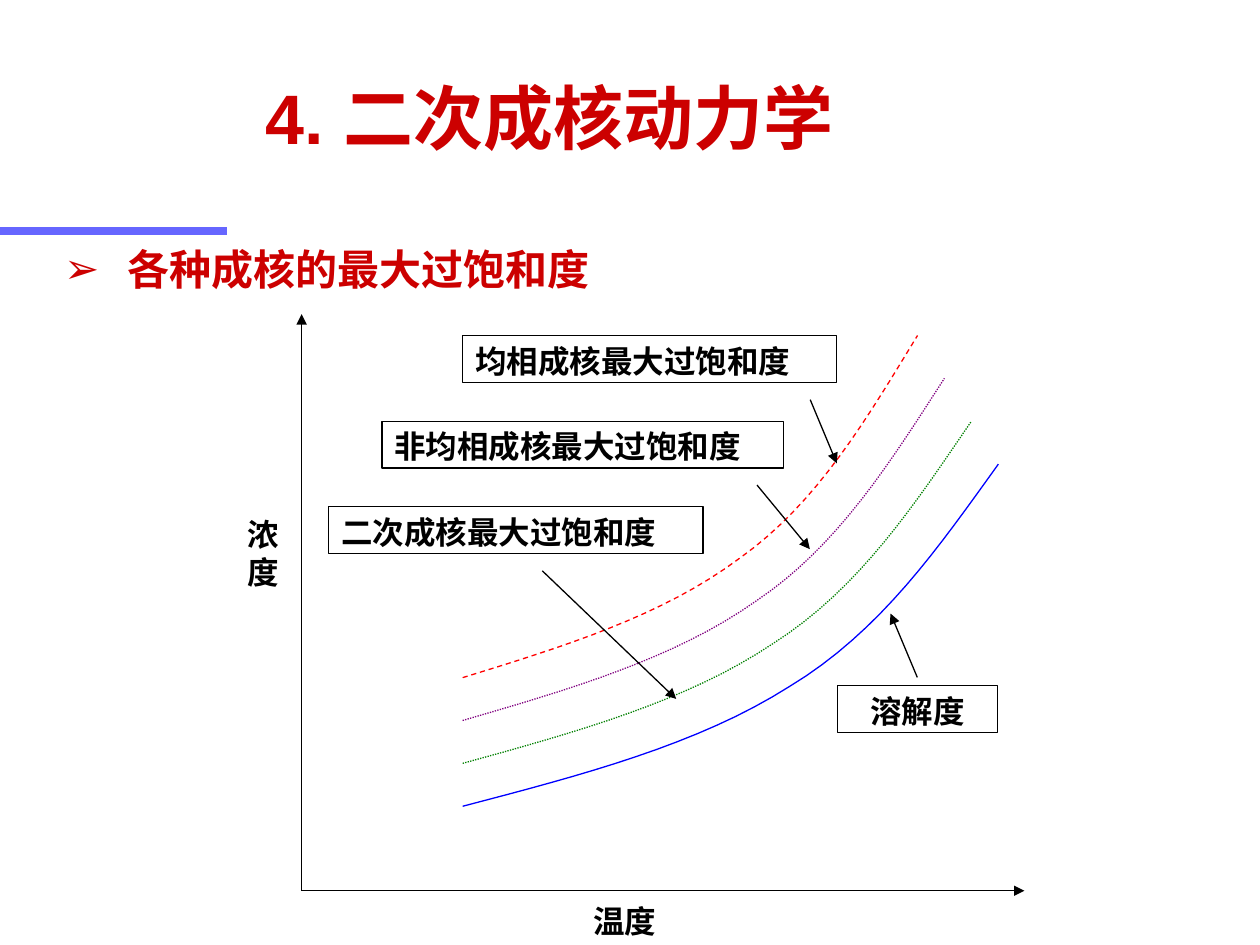
"""Build the slide on secondary nucleation kinetics with its supersaturation curves."""
from lxml.etree import SubElement
from pptx import Presentation
from pptx.dml.color import RGBColor
from pptx.enum.dml import MSO_LINE
from pptx.enum.shapes import MSO_CONNECTOR, MSO_SHAPE
from pptx.enum.text import MSO_ANCHOR, MSO_AUTO_SIZE, PP_ALIGN
from pptx.oxml.ns import qn
from pptx.util import Pt

THEME = {
    "font": "Arial",
    "heading": "CC0000",
    "ink": "000000",
    "paper": "FFFFFF",
    "accent": "6666FF",
    "homogeneous": "FF0000",
    "heterogeneous": "800080",
    "secondary": "008000",
    "solubility": "0000FF",
    "title_size": 40,
    "list_size": 24,
    "label_size": 18,
    "thin": 0.75,
    "thick": 4.5,
}


def write_text(shape, text, size, color, alignment=PP_ALIGN.LEFT, anchor=MSO_ANCHOR.TOP):
    frame = shape.text_frame
    frame.text = text
    frame.word_wrap = True
    frame.auto_size = MSO_AUTO_SIZE.NONE
    frame.vertical_anchor = anchor
    paragraph = frame.paragraphs[0]
    paragraph.alignment = alignment
    paragraph.space_before = Pt(0)
    font = paragraph.runs[0].font
    font.name = THEME["font"]
    font.size = Pt(THEME[size])
    font.bold = True
    font.color.rgb = RGBColor.from_string(THEME[color])
    return paragraph


def draw_line(slide, start, end, color="ink", width="thin", arrow=True):
    connector = slide.shapes.add_connector(
        MSO_CONNECTOR.STRAIGHT, *(Pt(value) for value in (*start, *end)))
    connector.line.color.rgb = RGBColor.from_string(THEME[color])
    connector.line.width = Pt(THEME[width])
    if arrow:
        SubElement(connector.line._get_or_add_ln(), qn("a:tailEnd"), type="triangle")
    SubElement(connector._element.spPr, qn("a:effectLst"))


presentation = Presentation()
presentation.slide_width = Pt(720)
presentation.slide_height = Pt(540)
slide = presentation.slides.add_slide(presentation.slide_layouts[1])

draw_line(slide, (0, 131.8), (129.6, 131.8), "accent", "thick", arrow=False)

title = slide.shapes.title
title.left, title.top, title.width, title.height = Pt(144.7), Pt(21.6), Pt(539.3), Pt(90)
write_text(title, "4. 二次成核动力学", "title_size", "heading", anchor=MSO_ANCHOR.MIDDLE)

body = slide.placeholders[1]
body.left, body.top, body.width, body.height = Pt(29.5), Pt(128.2), Pt(370.8), Pt(51.1)
paragraph = write_text(body, "各种成核的最大过饱和度", "list_size", "heading",
                       anchor=MSO_ANCHOR.MIDDLE)
properties = paragraph._p.get_or_add_pPr()
properties.set("marL", str(Pt(36)))
properties.set("indent", str(-Pt(36)))
SubElement(properties, qn("a:buChar"), char="➢")

origin = (172.4, 509)
for axis_end in [(585.4, 509), (172.4, 179.5)]:
    draw_line(slide, origin, axis_end)

curve_left, curve_top, curve_height, curve_step = 264.4, 191.7, 195.5, 24.5
narrowest, widening, samples = 259.9, 15.4, 16
bezier_segments = [
    [(0, 1), (0.22, 0.91), (0.44, 0.82), (0.61, 0.65)],
    [(0.61, 0.65), (0.78, 0.49), (0.89, 0.24), (1, 0)],
]
unit_curve = [(0, 1)]
for controls in bezier_segments:
    for sample in range(1, samples + 1):
        t = sample / samples
        weights = [(1 - t) ** 3, 3 * t * (1 - t) ** 2, 3 * t ** 2 * (1 - t), t ** 3]
        unit_curve.append(tuple(
            sum(weight * control[axis] for weight, control in zip(weights, controls))
            for axis in (0, 1)))

curves = [
    ("homogeneous", MSO_LINE.DASH),
    ("heterogeneous", MSO_LINE.ROUND_DOT),
    ("secondary", MSO_LINE.ROUND_DOT),
    ("solubility", None),
]
for index, (color, dash) in enumerate(curves):
    width = narrowest + index * widening
    top = curve_top + index * curve_step
    points = [(Pt(curve_left + x * width), Pt(top + y * curve_height)) for x, y in unit_curve]
    builder = slide.shapes.build_freeform(*points[0])
    builder.add_line_segments(points[1:], close=False)
    curve = builder.convert_to_shape()
    curve.shadow.inherit = False
    curve.fill.background()
    curve.line.color.rgb = RGBColor.from_string(THEME[color])
    curve.line.width = Pt(THEME["thin"])
    if dash:
        curve.line.dash_style = dash

callouts = [
    ("溶解度", 478.4, 391.9, 91.6, PP_ALIGN.CENTER, (524.2, 387.1), (508.9, 350.6)),
    ("均相成核最大过饱和度", 264.4, 191.7, 213.8, PP_ALIGN.JUSTIFY, (463, 228.4), (478.2, 264.8)),
    ("非均相成核最大过饱和度", 218.2, 240.7, 229.7, PP_ALIGN.JUSTIFY, (432.6, 277.2), (462.8, 313.8)),
    ("二次成核最大过饱和度", 187.9, 289.4, 213.8, PP_ALIGN.JUSTIFY, (309.9, 326.2), (386.4, 399.4)),
]
for text, left, top, width, alignment, arrow_start, arrow_end in callouts:
    box = slide.shapes.add_shape(MSO_SHAPE.RECTANGLE, Pt(left), Pt(top), Pt(width), Pt(26.8))
    box.shadow.inherit = False
    box.fill.solid()
    box.fill.fore_color.rgb = RGBColor.from_string(THEME["paper"])
    box.line.color.rgb = RGBColor.from_string(THEME["ink"])
    box.line.width = Pt(THEME["thin"])
    write_text(box, text, "label_size", "ink", alignment)
    draw_line(slide, arrow_start, arrow_end)

axis_labels = [("浓度", 134.6, 290.9, 46.8, 51.1), ("温度", 331.9, 512, 59.8, 28.8)]
for text, *bounds in axis_labels:
    label = slide.shapes.add_textbox(*(Pt(value) for value in bounds))
    write_text(label, text, "label_size", "ink")

presentation.save("out.pptx")
